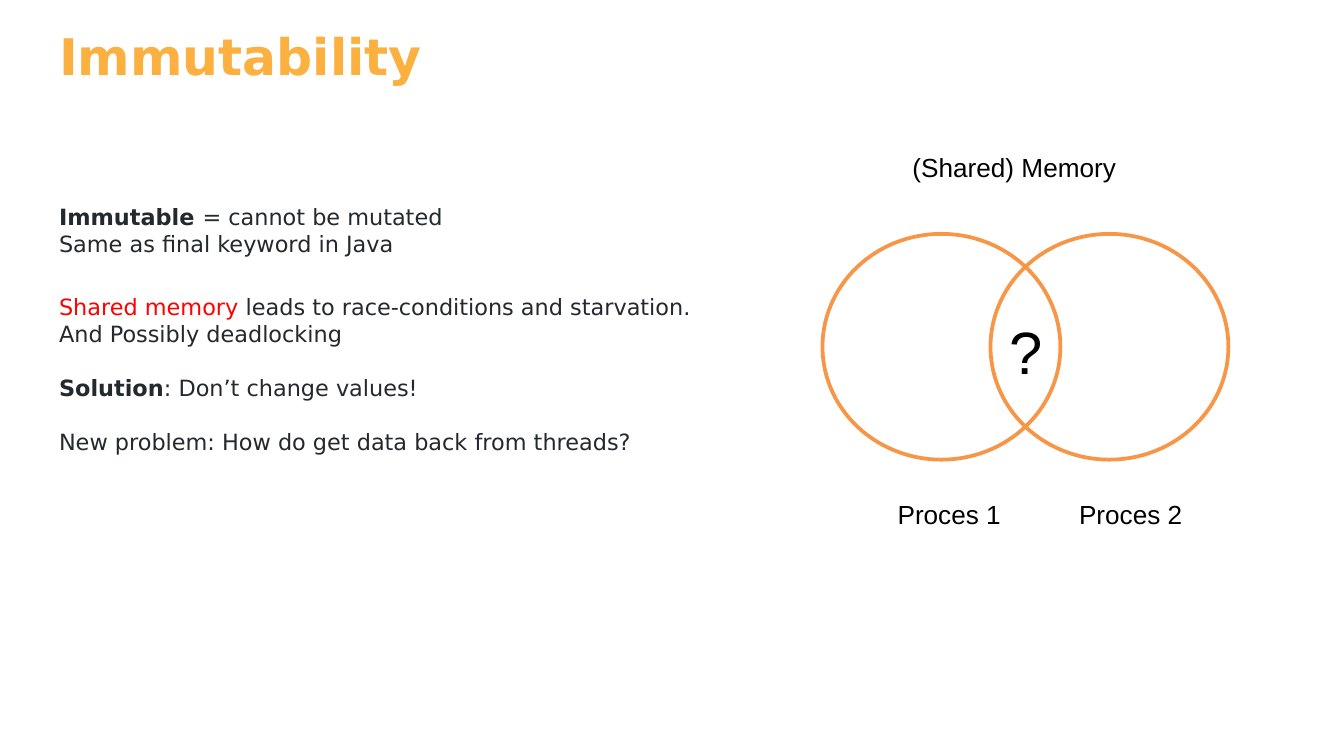
from pptx import Presentation
from pptx.dml.color import RGBColor
from pptx.enum.shapes import MSO_SHAPE
from pptx.enum.text import MSO_AUTO_SIZE
from pptx.util import Inches, Pt

SANS = "DejaVu Sans"
DARK = "24292E"


def rgb(color):
    return RGBColor.from_string(color)


def add_run(p, text, size=14, font="Arial", color="000000", bold=False):
    r = p.add_run()
    r.text = text
    r.font.size = Pt(size)
    r.font.name = font
    r.font.bold = bold
    r.font.color.rgb = rgb(color)


def add_box(s, x, y, w, h, wrap=True):
    tf = s.shapes.add_textbox(Inches(x), Inches(y), Inches(w), Inches(h)).text_frame
    tf.word_wrap = wrap
    if wrap:
        tf.margin_left = tf.margin_right = Inches(0.08)
        tf.margin_top = tf.margin_bottom = Inches(0.04)
    else:
        tf.auto_size = MSO_AUTO_SIZE.SHAPE_TO_FIT_TEXT
    return tf


def add_title(s, x, y, w, h):
    tf = add_box(s, x, y, w, h)
    add_run(tf.paragraphs[0], "Immutability", size=27, font=SANS, color="FBB040", bold=True)


def add_body(s, x, y, w, h):
    bold = {"bold": True}
    red = {"color": "FF0000"}
    lines = [
        (0, [("Immutable ", bold), ("= cannot be mutated", {})]),
        (0, [("Same as final keyword in Java", {})]),
        (19.5, [("Shared memory ", red),
                ("leads to race-conditions and starvation. And Possibly deadlocking", {})]),
        (14.5, [("Solution", bold), (": Don’t change values!", {})]),
        (14.5, [("New problem: How do get data back from threads?", {})]),
    ]
    tf = add_box(s, x, y, w, h)
    for i, (gap, runs) in enumerate(lines):
        p = tf.add_paragraph() if i else tf.paragraphs[0]
        p.space_before = Pt(gap)
        for text, style in runs:
            add_run(p, text, **{"size": 12, "font": SANS, "color": DARK, **style})


def add_venn(s, x, y, w, h):
    circle_w, circle_h = 1.77, 1.68
    for left in (x, x + w - circle_w):
        sp = s.shapes.add_shape(MSO_SHAPE.OVAL, Inches(left), Inches(y + 0.66),
                                Inches(circle_w), Inches(circle_h))
        sp.shadow.inherit = False
        sp.fill.background()
        sp.line.color.rgb = rgb("F79646")
        sp.line.width = Pt(2)

    label_h = 0.34
    labels = [
        ("Proces 1", 0.46, h - label_h, 0.98, label_h, 14),
        ("Proces 2", 1.81, h - label_h, 0.98, label_h, 14),
        ("(Shared) Memory", 0.57, 0, 1.72, label_h, 14),
        ("?", 1.29, 1.21, 0.45, 0.64, 32),
    ]
    for text, dx, dy, label_w, height, size in labels:
        tf = add_box(s, x + dx, y + dy, label_w, height, wrap=False)
        add_run(tf.paragraphs[0], text, size=size)


def main():
    prs = Presentation()
    prs.slide_width = Inches(10)
    prs.slide_height = prs.slide_width * 9 // 16
    s = prs.slides.add_slide(prs.slide_layouts[6])
    add_title(s, 0.36, 0.15, 7, 0.49)
    add_body(s, 0.36, 1.47, 4.96, 2.03)
    add_venn(s, 6.12, 1.08, 3.02, 2.92)
    prs.save("out.pptx")


if __name__ == "__main__":
    main()
